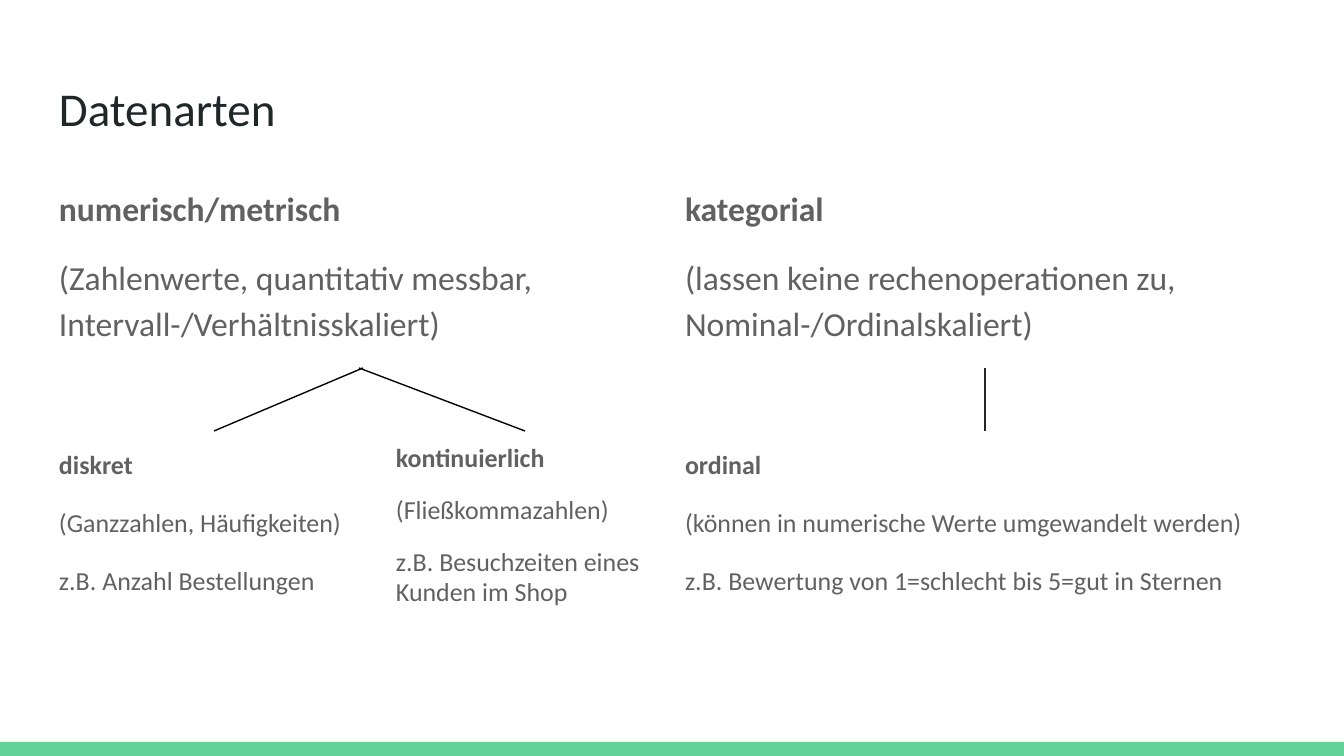
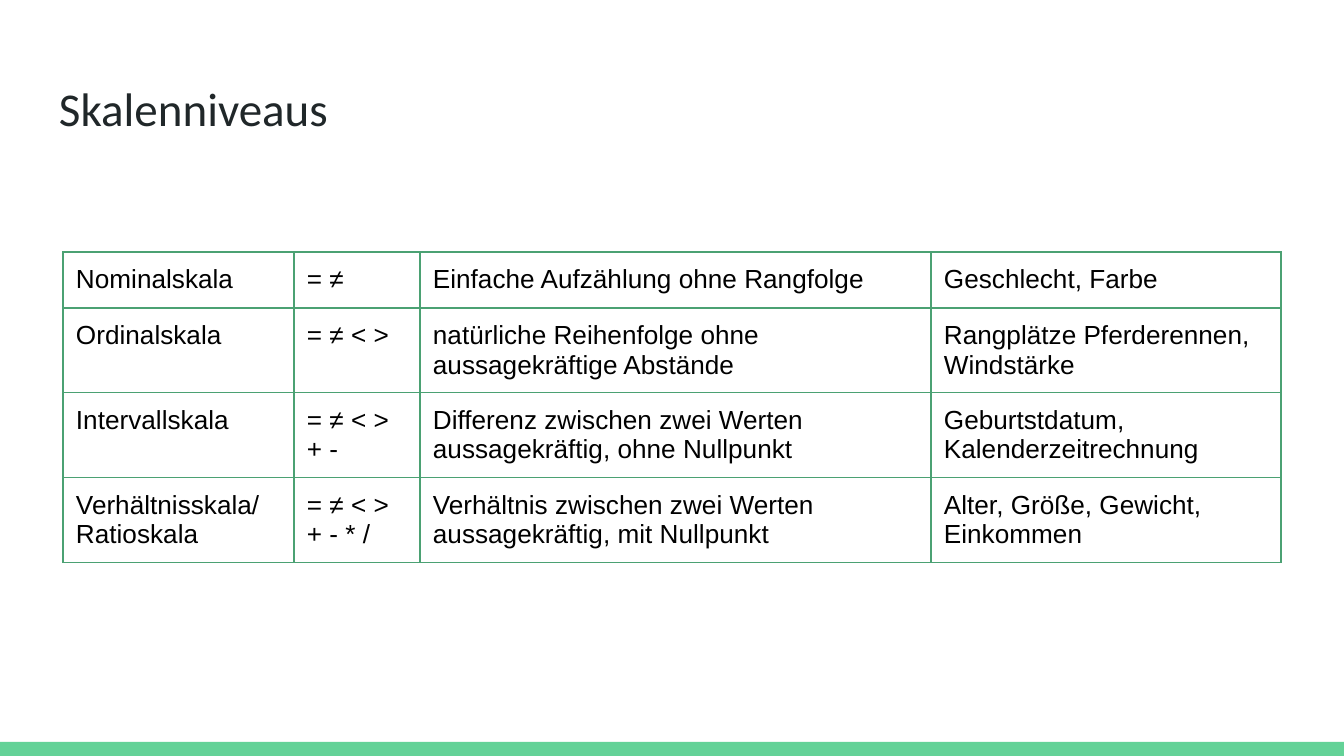
from lxml.etree import SubElement
from pptx import Presentation
from pptx.dml.color import RGBColor
from pptx.enum.shapes import MSO_CONNECTOR, MSO_SHAPE
from pptx.enum.text import MSO_ANCHOR, MSO_AUTO_SIZE, PP_ALIGN
from pptx.oxml.ns import qn
from pptx.util import Pt

EMU_PER_PX = 914400 / 134.4
WIDTH, HEIGHT = 1344, 756
INSET = 13
LEFT, MIDDLE = 46, 672
COLUMN_W, BODY_H = 626, 199
UPPER_Y, LOWER_Y = 169, 431
BRANCH_Y = 368
GREEN, BORDER = "63D297", "4BA173"
DARK, GREY, BLACK = "202729", "616161", "000000"

SCALES = [
    ["Nominalskala", "= ≠", "Einfache Aufzählung ohne Rangfolge", "Geschlecht, Farbe"],
    ["Ordinalskala", "= ≠ < >", "natürliche Reihenfolge ohne aussagekräftige Abstände",
     "Rangplätze Pferderennen, Windstärke"],
    ["Intervallskala", "= ≠ < > + -",
     "Differenz zwischen zwei Werten aussagekräftig, ohne Nullpunkt",
     "Geburtstdatum, Kalenderzeitrechnung"],
    ["Verhältnisskala/ Ratioskala", "= ≠ < > + - * /",
     "Verhältnis zwischen zwei Werten aussagekräftig, mit Nullpunkt",
     "Alter, Größe, Gewicht, Einkommen"],
]
SCALE_COLUMNS = [231, 126, 511, 350]
SCALE_ROW_H = 56


def px(n):
    return round(n * EMU_PER_PX)


def rgb(color):
    return RGBColor.from_string(color)


def style(p, size, color, font="Calibri", bold=False):
    for r in p.runs:
        r.font.size = Pt(size)
        r.font.name = font
        r.font.bold = bold
        r.font.color.rgb = rgb(color)


def set_insets(box):
    box.margin_left = box.margin_right = px(INSET)
    box.margin_top = box.margin_bottom = px(INSET)


def set_frame(tf):
    tf.word_wrap = True
    tf.auto_size = MSO_AUTO_SIZE.NONE
    tf.vertical_anchor = MSO_ANCHOR.TOP
    set_insets(tf)


def add_slide(prs, title):
    s = prs.slides.add_slide(prs.slide_layouts[5])
    s.background.fill.solid()
    s.background.fill.fore_color.rgb = rgb("FFFFFF")
    band = s.shapes.add_shape(MSO_SHAPE.RECTANGLE, 0, px(742), px(WIDTH), px(14))
    band.shadow.inherit = False
    band.fill.solid()
    band.fill.fore_color.rgb = rgb(GREEN)
    band.line.fill.background()
    sp = s.shapes.title
    sp.left, sp.top, sp.width, sp.height = px(LEFT), px(66), px(1252), px(84)
    tf = sp.text_frame
    tf.text = title
    set_frame(tf)
    p = tf.paragraphs[0]
    p.alignment = PP_ALIGN.LEFT
    style(p, 25.2, DARK)
    return s


def add_body(s, x, y, w, size, lines, spacing=1.15):
    tf = s.shapes.add_textbox(px(x), px(y), px(w), px(BODY_H)).text_frame
    set_frame(tf)
    tf.text = "\n".join(lines)
    for i, p in enumerate(tf.paragraphs):
        p.line_spacing = spacing
        if i:
            p.space_before = Pt(12)
        style(p, size, GREY, bold=i == 0)
    tf.paragraphs[-1].space_after = Pt(12)


def add_branch(s, x1, x2, color):
    line = s.shapes.add_connector(
        MSO_CONNECTOR.STRAIGHT, px(x1), px(BRANCH_Y), px(x2), px(LOWER_Y))
    line.line.color.rgb = rgb(color)
    line.line.width = Pt(0.75)
    SubElement(line._element.spPr, qn("a:effectLst"))


def set_borders(cell):
    tcPr = cell._tc.get_or_add_tcPr()
    for side in ("a:lnL", "a:lnR", "a:lnT", "a:lnB"):
        ln = SubElement(tcPr, qn(side), w=str(Pt(0.75)))
        fill = SubElement(ln, qn("a:solidFill"))
        SubElement(fill, qn("a:srgbClr"), val=BORDER)


def add_grid(s, x, y, widths, row_h, rows):
    table = s.shapes.add_table(
        len(rows), len(widths), px(x), px(y),
        px(sum(widths)), px(row_h * len(rows))).table
    table.first_row = table.horz_banding = False
    for column, w in zip(table.columns, widths):
        column.width = px(w)
    for row, texts in zip(table.rows, rows):
        row.height = px(row_h)
        for cell, text in zip(row.cells, texts):
            cell.text = text
            set_insets(cell)
            set_borders(cell)
            cell.fill.background()
            style(cell.text_frame.paragraphs[0], 14, BLACK, "Arial")


def add_data_types(prs):
    s = add_slide(prs, "Datenarten")
    add_body(s, LEFT, UPPER_Y, COLUMN_W, 18, [
        "numerisch/metrisch",
        "(Zahlenwerte, quantitativ messbar, Intervall-/Verhältnisskaliert)"])
    add_body(s, MIDDLE, UPPER_Y, COLUMN_W, 18, [
        "kategorial",
        "(lassen keine rechenoperationen zu, Nominal-/Ordinalskaliert)"])
    add_body(s, MIDDLE, LOWER_Y, COLUMN_W, 13.9, [
        "ordinal",
        "(können in numerische Werte umgewandelt werden)",
        "z.B. Bewertung von 1=schlecht bis 5=gut in Sternen"])
    add_body(s, LEFT, LOWER_Y, 337, 13.9, [
        "diskret", "(Ganzzahlen, Häufigkeiten)", "z.B. Anzahl Bestellungen"])
    add_body(s, 383, LOWER_Y, 285, 13.9, [
        "kontinuierlich", "(Fließkommazahlen)",
        "z.B. Besuchzeiten eines Kunden im Shop"], 0.95)
    add_branch(s, 363, 214, BLACK)
    add_branch(s, 359, 525, BLACK)
    add_branch(s, 985, 985, DARK)


def add_scale_levels(prs):
    s = add_slide(prs, "Skalenniveaus")
    add_grid(s, 63, 252, SCALE_COLUMNS, SCALE_ROW_H, SCALES)


def main():
    prs = Presentation()
    prs.slide_width, prs.slide_height = px(WIDTH), px(HEIGHT)
    add_data_types(prs)
    add_scale_levels(prs)
    prs.save("out.pptx")


if __name__ == "__main__":
    main()
